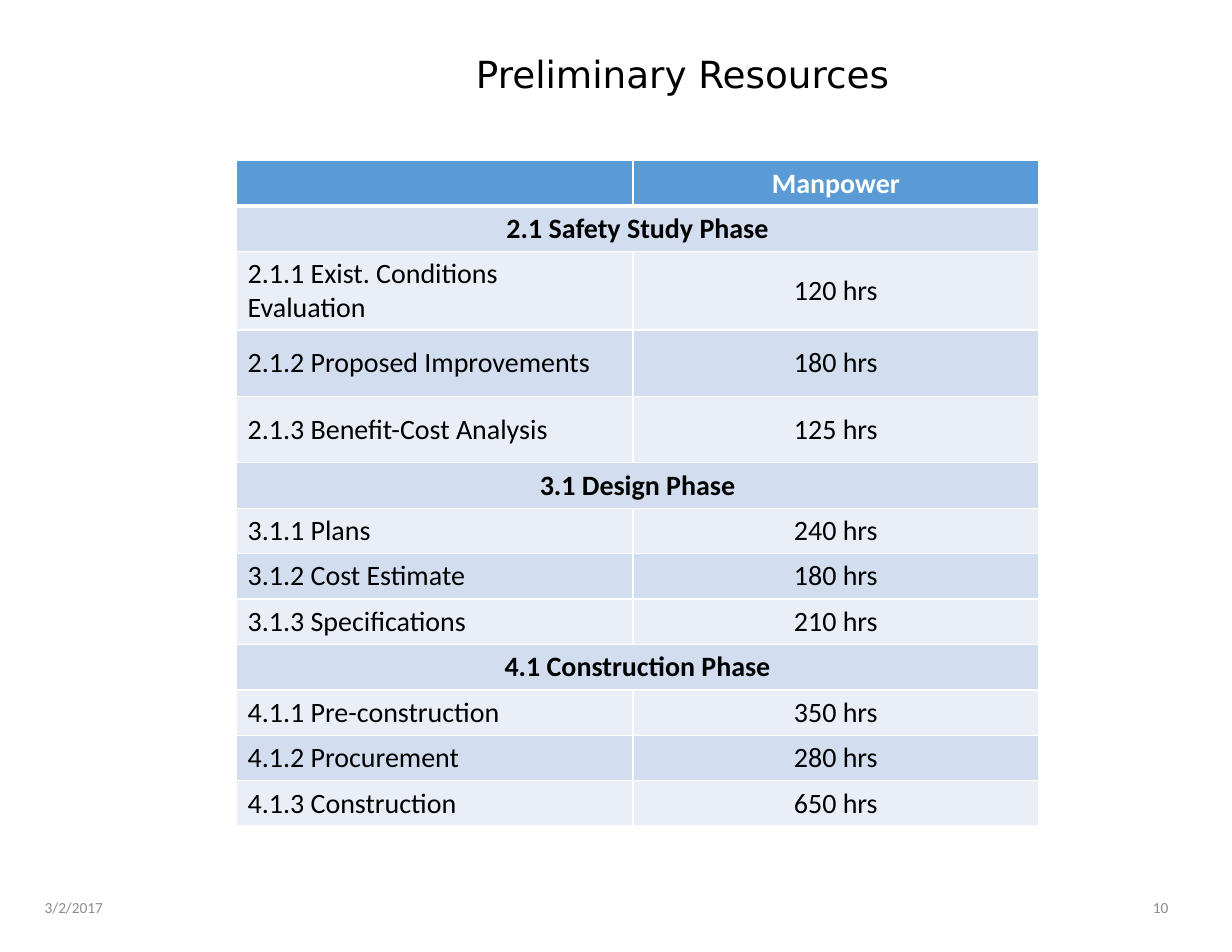
"""Build the manpower slide with its title, table and footer."""
from typing import NamedTuple

import lxml.etree
import pptx
import pptx.dml.color
import pptx.enum.text
import pptx.oxml.ns
import pptx.util

Pt = pptx.util.Pt
RGBColor = pptx.dml.color.RGBColor
Align = pptx.enum.text.PP_ALIGN
MIDDLE = pptx.enum.text.MSO_ANCHOR.MIDDLE
qn = pptx.oxml.ns.qn

BLACK = RGBColor(0x00, 0x00, 0x00)
WHITE = RGBColor(0xFF, 0xFF, 0xFF)
GRAY = RGBColor(0x8C, 0x8C, 0x8C)
BLUE = RGBColor(0x5B, 0x9B, 0xD5)
DARK = RGBColor(0xD2, 0xDE, 0xEF)
LIGHT = RGBColor(0xEA, 0xEF, 0xF7)

LOW, TALL = 29.2, 42.7
WIDTHS = (254.9, 260.9)


class Font(NamedTuple):
    size: float
    color: RGBColor
    bold: bool = False
    name: str = "Calibri"


class Task(NamedTuple):
    name: str
    hours: int


class Phase(NamedTuple):
    name: str
    height: float
    tasks: tuple[Task, ...]


class Note(NamedTuple):
    text: str
    left: float
    align: Align


HEAD = Font(18, WHITE, True)
GROUP = Font(18, BLACK, True)
BODY = Font(18, BLACK)
FOOT = Font(9.9, GRAY)
TITLE = Font(24, BLACK, name="DejaVu Sans")

PHASES = (
    Phase("2.1 Safety Study Phase", TALL, (
        Task("2.1.1 Exist. Conditions Evaluation", 120),
        Task("2.1.2 Proposed Improvements", 180),
        Task("2.1.3 Benefit-Cost Analysis", 125))),
    Phase("3.1 Design Phase", LOW, (
        Task("3.1.1 Plans", 240),
        Task("3.1.2 Cost Estimate", 180),
        Task("3.1.3 Specifications", 210))),
    Phase("4.1 Construction Phase", LOW, (
        Task("4.1.1 Pre-construction", 350),
        Task("4.1.2 Procurement", 280),
        Task("4.1.3 Construction", 650))),
)
NOTES = (Note("3/2/2017", 21.6, Align.LEFT), Note("10", 579.6, Align.RIGHT))


def write(frame, text: str, font: Font, align: Align) -> None:
    """Write one aligned run into a text frame."""
    para = frame.paragraphs[0]
    para.alignment = align
    run = para.add_run()
    run.text = text
    run.font.name = font.name
    run.font.size = Pt(font.size)
    run.font.bold = font.bold
    run.font.color.rgb = font.color


def style(cell, fill: RGBColor, base: float = 1) -> None:
    """Give a cell white borders, a fill and a middle anchor."""
    props = cell._tc.get_or_add_tcPr()
    for side, width in (("L", 1), ("R", 1), ("T", 1), ("B", base)):
        line = lxml.etree.SubElement(props, qn(f"a:ln{side}"), w=str(Pt(width)))
        solid = lxml.etree.SubElement(line, qn("a:solidFill"))
        lxml.etree.SubElement(solid, qn("a:srgbClr"), val=str(WHITE))
    cell.fill.solid()
    cell.fill.fore_color.rgb = fill
    cell.vertical_anchor = MIDDLE


def draw_title(slide) -> None:
    """Place and fill the title."""
    title = slide.shapes.title
    title.left, title.top = Pt(136.8), Pt(5)
    title.width, title.height = Pt(604), Pt(88.6)
    title.text_frame.vertical_anchor = MIDDLE
    write(title.text_frame, "Preliminary Resources", TITLE, Align.CENTER)
    title.text_frame.paragraphs[0].line_spacing = 0.9


def draw_note(slide, note: Note) -> None:
    """Draw one footer text."""
    box = slide.shapes.add_textbox(Pt(note.left), Pt(567.4), Pt(178.6), Pt(32.4))
    frame = box.text_frame
    frame.word_wrap = True
    frame.vertical_anchor = MIDDLE
    write(frame, note.text, FOOT, note.align)


def draw_table(slide) -> None:
    """Draw the phases and their tasks as one table."""
    heights = [LOW]
    for phase in PHASES:
        heights += [LOW] + [phase.height] * len(phase.tasks)
    table = slide.shapes.add_table(
        len(heights), len(WIDTHS), Pt(152), Pt(103.3),
        Pt(sum(WIDTHS)), Pt(sum(heights))).table
    for col, width in zip(table.columns, WIDTHS):
        col.width = Pt(width)
    for index, height in enumerate(heights):
        table.rows[index].height = Pt(height)
        fill = BLUE if index == 0 else DARK if index % 2 else LIGHT
        for cell in table.rows[index].cells:
            style(cell, fill, 1 if index else 3)
    write(table.cell(0, 1).text_frame, "Manpower", HEAD, Align.CENTER)
    row = 1
    for phase in PHASES:
        group = table.cell(row, 0)
        group.merge(table.cell(row, 1))
        write(group.text_frame, phase.name, GROUP, Align.CENTER)
        for row, task in enumerate(phase.tasks, row + 1):
            write(table.cell(row, 0).text_frame, task.name, BODY, Align.LEFT)
            write(table.cell(row, 1).text_frame, f"{task.hours} hrs", BODY, Align.CENTER)
        row += 1


def main() -> None:
    """Build and save the deck."""
    deck = pptx.Presentation()
    deck.slide_width, deck.slide_height = Pt(792), Pt(612)
    slide = deck.slides.add_slide(deck.slide_layouts[5])
    for note in NOTES:
        draw_note(slide, note)
    draw_title(slide)
    draw_table(slide)
    deck.save("out.pptx")


if __name__ == "__main__":
    main()
